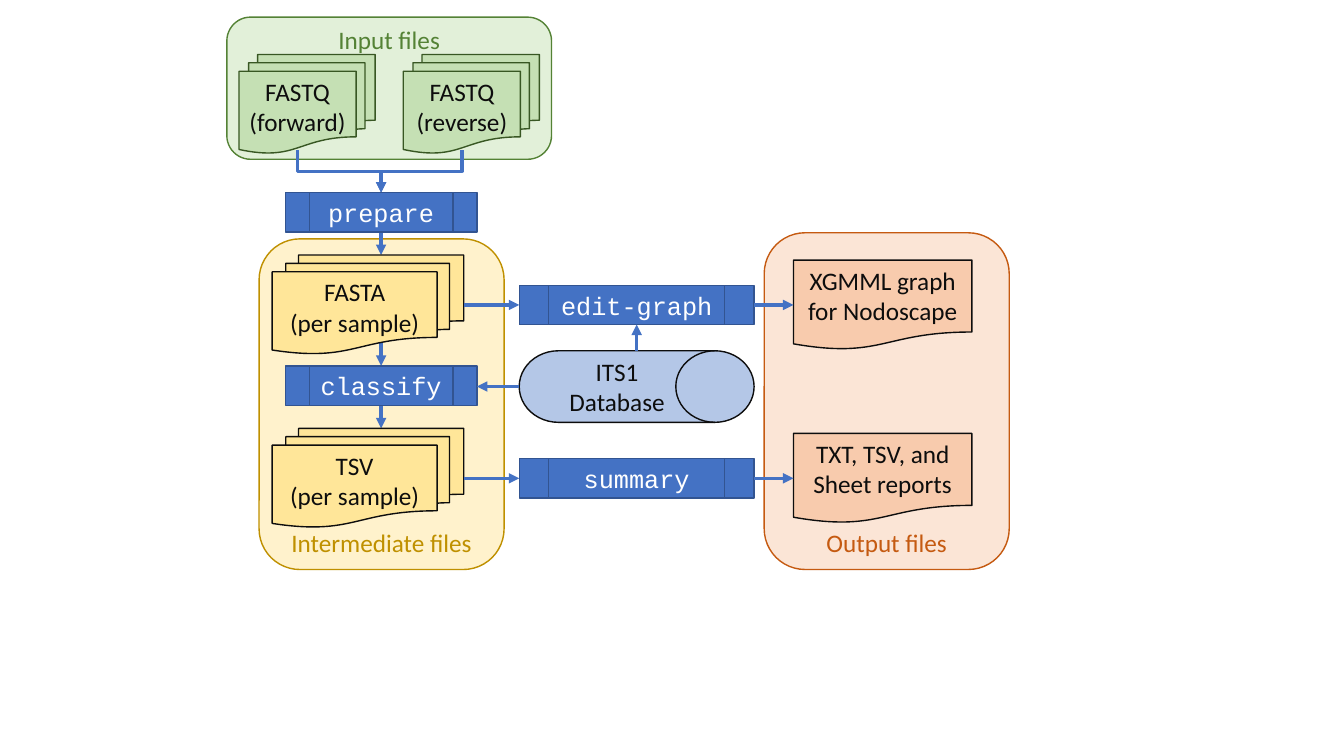
from pptx import Presentation
from pptx.dml.color import RGBColor
from pptx.enum.shapes import MSO_CONNECTOR, MSO_SHAPE
from pptx.enum.text import MSO_ANCHOR, PP_ALIGN
from pptx.oxml.ns import qn
from pptx.util import Inches, Pt
from lxml import etree

ROUND = MSO_SHAPE.ROUNDED_RECTANGLE
STACK = MSO_SHAPE.FLOWCHART_MULTIDOCUMENT
SHEET = MSO_SHAPE.FLOWCHART_DOCUMENT
STEP = MSO_SHAPE.FLOWCHART_PREDEFINED_PROCESS
DRUM = MSO_SHAPE.FLOWCHART_DIRECT_ACCESS_STORAGE
STRAIGHT, ELBOW = MSO_CONNECTOR.STRAIGHT, MSO_CONNECTOR.ELBOW
TOP, MID, LOW = MSO_ANCHOR.TOP, MSO_ANCHOR.MIDDLE, MSO_ANCHOR.BOTTOM
CENTER = PP_ALIGN.CENTER

COLORS = {
    "ink": "0D0D0D", "white": "FFFFFF",
    "blue": "4472C4", "navy": "325491", "sky": "B4C7E7",
    "mint": "E2F0D9", "leaf": "C5E0B4", "green": "548235", "pine": "385723",
    "cream": "FFF2CC", "corn": "FFE699", "gold": "BF9000",
    "blush": "FBE5D6", "peach": "F8CBAD", "rust": "C55A11",
}

# Grid cells are a tenth of an inch; both flow lanes share one pitch
CELL = 0.1
PITCH = 17.2
BAR = 3.9


def cells(*counts):
    return [Inches(n * CELL) for n in counts]


def color(name):
    return RGBColor.from_string(COLORS[name])


def block(slide, kind, box, text, fill, line, ink="ink", font="Calibri",
          anchor=TOP, insets=None):
    shape = slide.shapes.add_shape(kind, *cells(*box))
    shape.shadow.inherit = False
    shape.fill.solid()
    shape.fill.fore_color.rgb = color(fill)
    shape.line.color.rgb = color(line)
    shape.line.width = Pt(1)
    frame = shape.text_frame
    frame.text = text
    frame.word_wrap = True
    frame.vertical_anchor = anchor
    for key, size in (insets or {}).items():
        setattr(frame, key, size)
    for para in frame.paragraphs:
        para.alignment = CENTER
        for key, value in {"name": font, "size": Pt(18)}.items():
            setattr(para.font, key, value)
        para.font.color.rgb = color(ink)


def panel(slide, box, title, fill, line, anchor=LOW):
    edge = "margin_top" if anchor == TOP else "margin_bottom"
    block(slide, ROUND, box, title, fill, line, line,
          anchor=anchor, insets={edge: 0})


def step(slide, box, name):
    block(slide, STEP, box, name, "blue", "navy", "white", "Courier New", MID)


def arrow(slide, start, end, kind=STRAIGHT):
    link = slide.shapes.add_connector(kind, *cells(*start, *end))
    link.line.color.rgb = color("blue")
    link.line.width = Pt(2.5)
    tail = etree.SubElement(link.line._get_or_add_ln(), qn("a:tailEnd"))
    tail.set("type", "triangle")
    etree.SubElement(link._element.spPr, qn("a:effectLst"))
    return link


def elbow(slide, start, end):
    """Leave downwards, cross over, arrive downwards: a turned elbow."""
    (x1, y1), (x2, y2) = start, end
    midx, midy = (x1 + x2) / 2, (y1 + y2) / 2
    half, rise = (y2 - y1) / 2, abs(x2 - x1) / 2
    turn = 90
    if x2 > x1:
        half, turn = -half, 270
    link = arrow(slide, (midx - half, midy - rise),
                 (midx + half, midy + rise), ELBOW)
    link._element.spPr.find(qn("a:xfrm")).set("rot", str(turn * 60000))


def inputs(slide, box, goal):
    x, y = box[:2]
    panel(slide, box, "Input files", "mint", "green", TOP)
    for i, way in enumerate(("forward", "reverse")):
        left = x + 1.2 + i * 16.3
        block(slide, STACK, (left, y + 3.7, 13.5, 9.8),
              f"FASTQ\n({way})", "leaf", "pine")
        elbow(slide, (left + 5.8, y + 13.2), goal)


def stages(slide, box):
    x, y = box[:2]
    spine = x + 12.1
    panel(slide, box, "Intermediate files", "cream", "gold")
    # Arrows run behind the file stacks
    bars = [y - 4.6 + i * PITCH for i in range(2)]
    stacks = [y + 1.6 + i * PITCH for i in range(2)]
    for bar, top in zip(bars, stacks):
        arrow(slide, (spine, bar + BAR), (spine, top))
    arrow(slide, (spine, stacks[0]), (spine, bars[1]))
    for bar, top, name, kind in zip(bars, stacks, ("prepare", "classify"),
                                    ("FASTA", "TSV")):
        step(slide, (x + 2.6, bar, 19, BAR), name)
        block(slide, STACK, (x + 1.3, top, 19, 9.8),
              f"{kind}\n(per sample)", "corn", "ink")


def tools(slide, box):
    x, y, w = box[:3]
    block(slide, DRUM, (x, y + 6.5, w, 7.1), "ITS1 Database",
          "sky", "ink", anchor=MID)
    for i, name in enumerate(("edit-graph", "summary")):
        top = y + i * PITCH
        axis = top + BAR / 2
        step(slide, (x, top, w, BAR), name)
        arrow(slide, (x - 5.5, axis), (x, axis))
        arrow(slide, (x + w, axis), (x + w + 3.9, axis))
    # The database feeds both neighbours
    arrow(slide, (x, y + 10.05), (x - 4.2, y + 10.05))
    arrow(slide, (x + w / 2, y + 6.5), (x + w / 2, y + BAR))


def outputs(slide, box):
    x, y = box[:2]
    panel(slide, box, "Output files", "blush", "rust")
    names = ("XGMML graph\nfor Nodoscape", "TXT, TSV, and Sheet reports")
    for i, name in enumerate(names):
        block(slide, SHEET, (x + 2.9, y + 2.7 + i * PITCH, 17.7, 8.9),
              name, "peach", "ink")


def main():
    deck = Presentation()
    deck.slide_width, deck.slide_height = Inches(13.33), Inches(7.5)
    slide = deck.slides.add_slide(deck.slide_layouts[6])
    inputs(slide, (22.5, 1.7, 32.2, 14.1), (37.8, 19.1))
    outputs(slide, (75.8, 23.1, 24.3, 33.4))
    stages(slide, (25.7, 23.7, 24.3, 32.8))
    tools(slide, (51.5, 28.3, 23.3, 21.1))
    deck.save("out.pptx")


if __name__ == "__main__":
    main()
